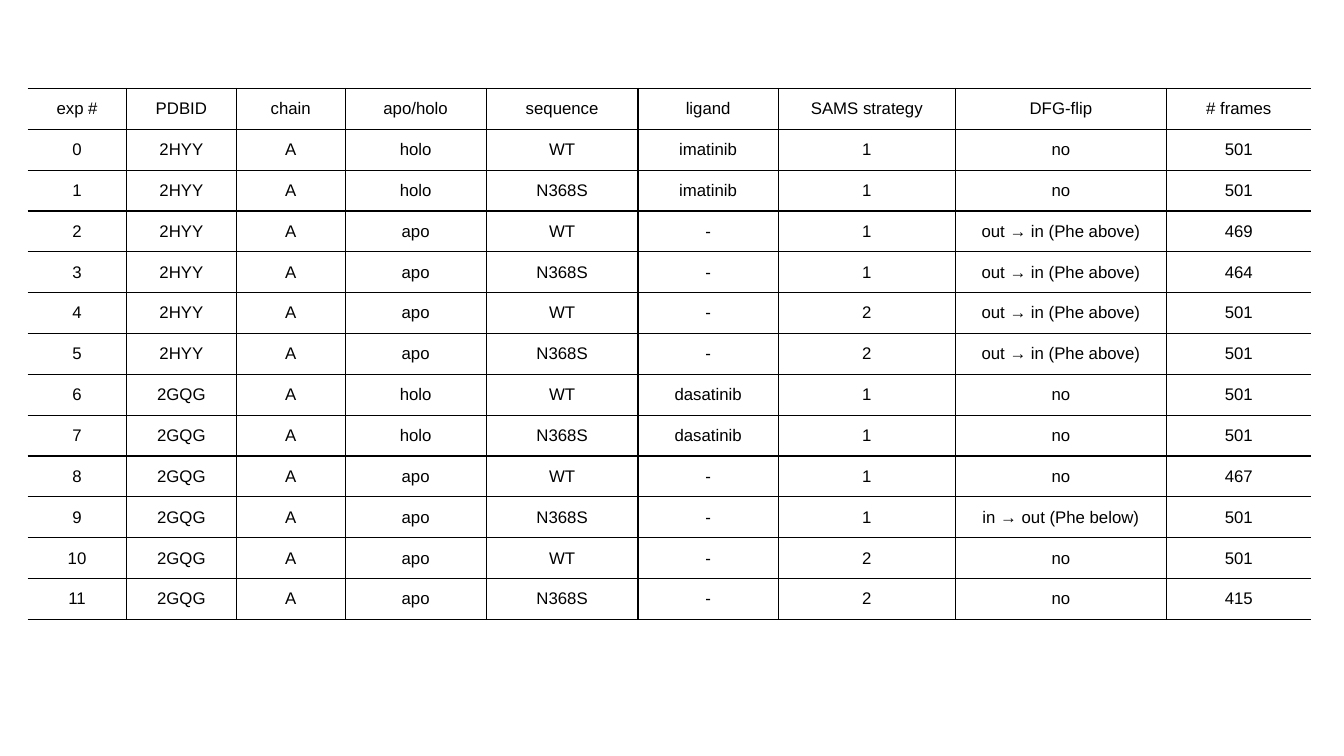
from pptx import Presentation
from pptx.dml.color import RGBColor
from pptx.enum import text
from pptx.oxml import parse_xml
from pptx.oxml.ns import nsdecls
from pptx.util import Pt

BLACK = RGBColor(0, 0, 0)
FONT = "Arial"

HEADERS = ["exp #", "PDBID", "chain", "apo/holo", "sequence", "ligand",
           "SAMS strategy", "DFG-flip", "# frames"]
COL_WIDTHS = [70.5, 78.5, 77.7, 100.8, 108.5, 100.1, 126.7, 150.5, 103.7]
ROW_HEIGHT = 29.18
PHE_ABOVE = "out → in (Phe above)"
PHE_BELOW = "in → out (Phe below)"

# PDBID, apo/holo, ligand, SAMS strategy, then (DFG-flip, frames) for WT and N368S
EXPERIMENT_PAIRS = [
    ("2HYY", "holo", "imatinib", 1, [("no", 501), ("no", 501)]),
    ("2HYY", "apo", "-", 1, [(PHE_ABOVE, 469), (PHE_ABOVE, 464)]),
    ("2HYY", "apo", "-", 2, [(PHE_ABOVE, 501), (PHE_ABOVE, 501)]),
    ("2GQG", "holo", "dasatinib", 1, [("no", 501), ("no", 501)]),
    ("2GQG", "apo", "-", 1, [("no", 467), (PHE_BELOW, 501)]),
    ("2GQG", "apo", "-", 2, [("no", 501), ("no", 415)]),
]

rows = [HEADERS]
for pdbid, state, ligand, strategy, results in EXPERIMENT_PAIRS:
    for sequence, (flip, frames) in zip(("WT", "N368S"), results):
        rows.append([len(rows) - 1, pdbid, "A", state, sequence, ligand,
                     strategy, flip, frames])


def set_borders(cell, visible):
    """Draw the visible sides in black and hide the others."""
    tcPr = cell._tc.get_or_add_tcPr()
    for i, side in enumerate("LRTB"):
        fill = (f'<a:solidFill><a:srgbClr val="{BLACK}"/></a:solidFill>'
                if side in visible else "<a:noFill/>")
        tcPr.insert(i, parse_xml(
            f'<a:ln{side} {nsdecls("a")} w="{Pt(1)}">{fill}</a:ln{side}>'))


prs = Presentation()
prs.slide_width, prs.slide_height = Pt(960), Pt(540)
s = prs.slides.add_slide(prs.slide_layouts[6])

# Table of experiments
table = s.shapes.add_table(
    len(rows), len(HEADERS), Pt(19.8), Pt(63.2),
    Pt(sum(COL_WIDTHS)), Pt(ROW_HEIGHT * len(rows))).table
table.first_row = False
table.horz_banding = False
for column, width in zip(table.columns, COL_WIDTHS):
    column.width = Pt(width)
for row in table.rows:
    row.height = Pt(ROW_HEIGHT)

# Cells: centred text, open on the left and right edges of the table
for i, values in enumerate(rows):
    for j, value in enumerate(values):
        cell = table.cell(i, j)
        cell.fill.background()
        cell.vertical_anchor = text.MSO_ANCHOR.MIDDLE
        left = "L" if j > 0 else ""
        right = "R" if j < len(HEADERS) - 1 else ""
        set_borders(cell, "TB" + left + right)
        p = cell.text_frame.paragraphs[0]
        p.alignment = text.PP_ALIGN.CENTER
        r = p.add_run()
        r.text = str(value)
        r.font.name = FONT
        r.font.size = Pt(12)
        r.font.color.rgb = BLACK

prs.save("out.pptx")
